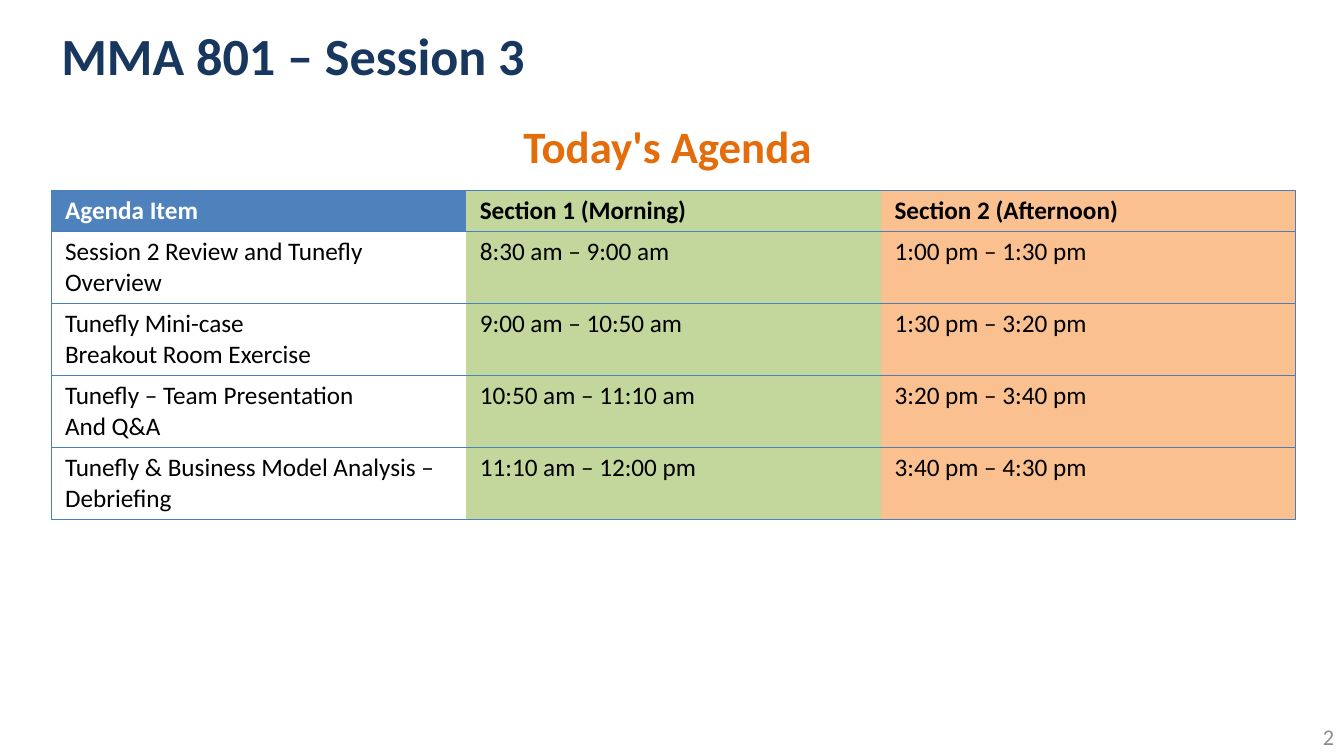
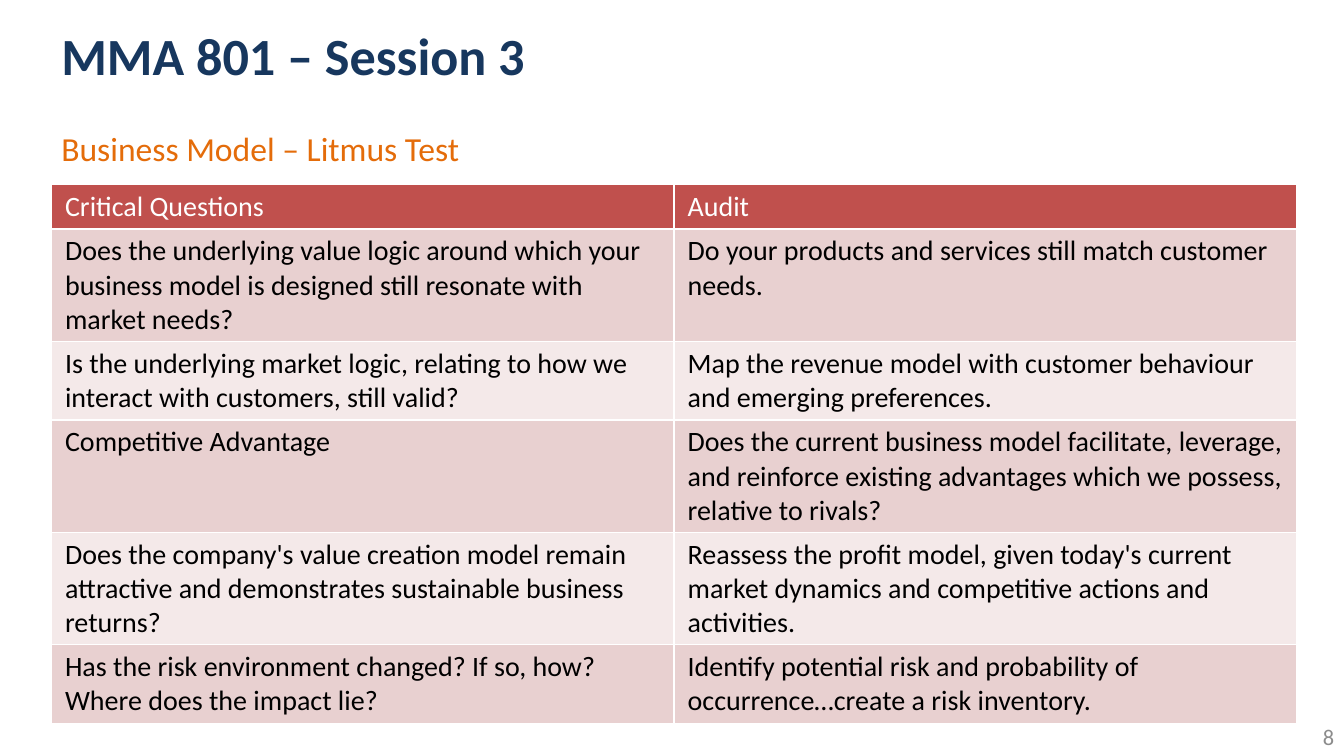
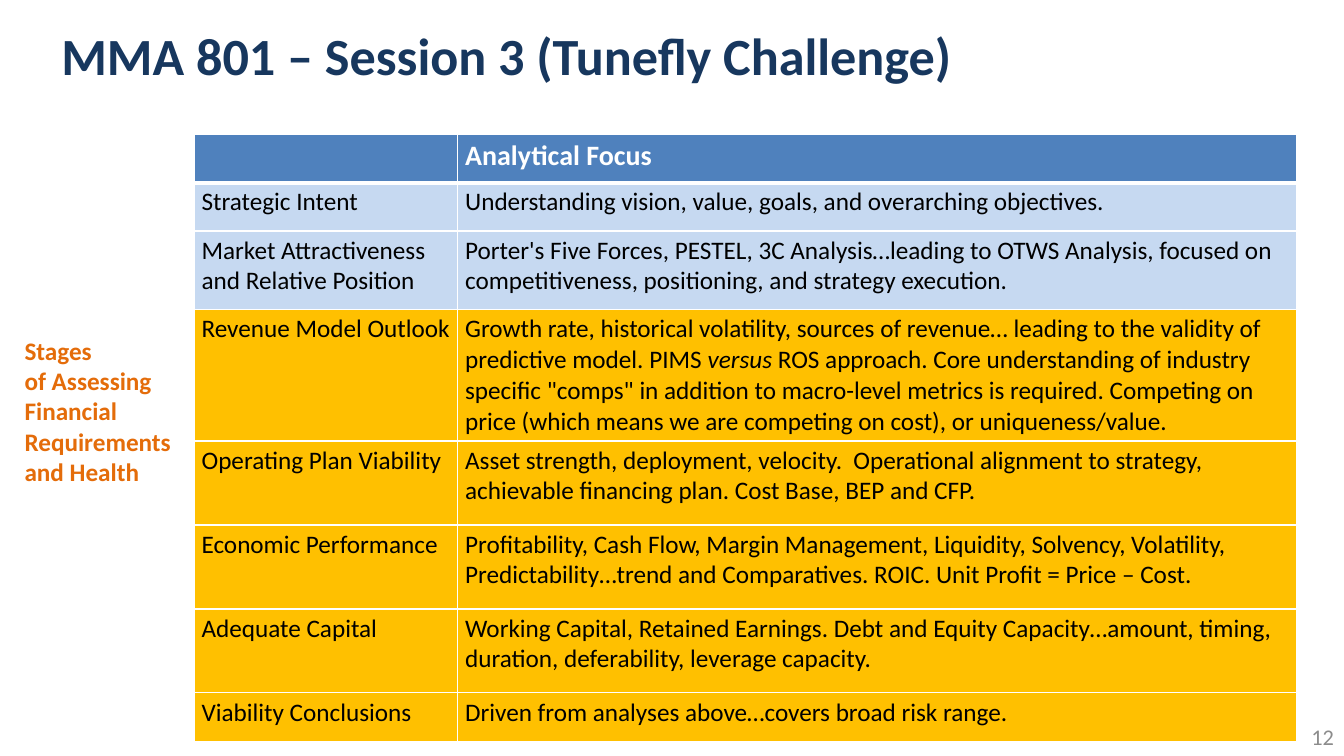
from dataclasses import dataclass
from typing import Callable, NamedTuple, Optional

import pptx
import pptx.dml.color
import pptx.enum.text
import pptx.oxml
import pptx.oxml.ns
import pptx.util

EMU_PER_PX = 9525
SLIDE_SIZE = (1280, 720)

RGB = pptx.dml.color.RGBColor
Align = pptx.enum.text.PP_ALIGN
Anchor = pptx.enum.text.MSO_ANCHOR


def px(length: int) -> pptx.util.Emu:
    return pptx.util.Emu(length * EMU_PER_PX)


class TextStyle(NamedTuple):
    size: float
    color: RGB
    bold: bool = False


class Theme:
    font = "Calibri"
    white = RGB.from_string("FFFFFF")
    black = RGB.from_string("000000")
    navy = RGB.from_string("17375E")
    orange = RGB.from_string("E46C0A")
    gray = RGB.from_string("8C8C8C")
    blue = RGB.from_string("4F81BD")
    rule_blue = RGB.from_string("4B7EBC")
    pale_blue = RGB.from_string("C6D9F1")
    green = RGB.from_string("C3D69B")
    peach = RGB.from_string("FAC090")
    red = RGB.from_string("C0504D")
    rose = RGB.from_string("E8D0D0")
    pale_rose = RGB.from_string("F4E9E9")
    amber = RGB.from_string("FFC000")

    title = TextStyle(37.3, navy, True)
    agenda_heading = TextStyle(32, orange, True)
    subtitle = TextStyle(24, orange)
    side_label = TextStyle(18, orange, True)
    page_number = TextStyle(16, gray)
    body = TextStyle(18, black)
    body_bold = TextStyle(18, black, True)
    body_head = TextStyle(18, white, True)
    large_body = TextStyle(20, black)
    large_head = TextStyle(20, white)
    large_head_bold = TextStyle(20, white, True)


class Box(NamedTuple):
    left: int
    top: int
    width: int
    height: int


class Rule(NamedTuple):
    color: RGB
    points: float


class CellLook(NamedTuple):
    fill: RGB
    text: TextStyle


class Insets(NamedTuple):
    side: int
    end: int


@dataclass(frozen=True)
class Label:
    text: str
    box: Box
    style: TextStyle
    align: Align = Align.LEFT
    anchor: Anchor = Anchor.TOP


@dataclass(frozen=True)
class Grid:
    left: int
    top: int
    columns: list[int]
    heights: list[int]
    rows: list[list[str]]
    insets: Insets
    look: Callable[[int, int], CellLook]
    rule: Rule
    header_rule: Rule
    inner_verticals: bool = True


@dataclass(frozen=True)
class Page:
    title: str
    number: int
    grid: Grid
    heading: Label


def write(frame, text: str, style: TextStyle, align: Align = Align.LEFT) -> None:
    """Start a paragraph at each line end; text between asterisks is italic."""
    for index, line in enumerate(text.split("\n")):
        paragraph = frame.add_paragraph() if index else frame.paragraphs[0]
        paragraph.alignment = align
        for part_index, part in enumerate(line.split("*")):
            if not part:
                continue
            run = paragraph.add_run()
            run.text = part
            run.font.name = Theme.font
            run.font.size = pptx.util.Pt(style.size)
            run.font.bold = style.bold
            run.font.italic = part_index % 2 == 1
            run.font.color.rgb = style.color


def add_label(slide, label: Label) -> None:
    frame = slide.shapes.add_textbox(*map(px, label.box)).text_frame
    frame.word_wrap = True
    frame.vertical_anchor = label.anchor
    write(frame, label.text, label.style, label.align)


def set_border(cell, side: str, rule: Optional[Rule]) -> None:
    """Draw one side (L, R, T or B) of a cell; no rule hides that side."""
    properties = cell._tc.get_or_add_tcPr()
    line = pptx.oxml.parse_xml(
        f'<a:ln{side} {pptx.oxml.ns.nsdecls("a")}>'
        + (f'<a:solidFill><a:srgbClr val="{rule.color}"/></a:solidFill>'
           if rule else "<a:noFill/>")
        + f"</a:ln{side}>"
    )
    if rule:
        line.set("w", str(int(pptx.util.Pt(rule.points))))
    properties.append(line)


def add_grid(slide, grid: Grid) -> None:
    row_count, column_count = len(grid.rows), len(grid.columns)
    box = Box(grid.left, grid.top, sum(grid.columns), sum(grid.heights))
    table = slide.shapes.add_table(row_count, column_count, *map(px, box)).table
    table.first_row = table.horz_banding = False
    for column, width in zip(table.columns, grid.columns):
        column.width = px(width)
    for row, height in zip(table.rows, grid.heights):
        row.height = px(height)

    inner = grid.rule if grid.inner_verticals else None
    for r, texts in enumerate(grid.rows):
        for c, text in enumerate(texts):
            cell = table.cell(r, c)
            look = grid.look(r, c)
            # Border elements have to precede the fill in the cell properties.
            set_border(cell, "L", inner if c else grid.rule)
            set_border(cell, "R", inner if c < column_count - 1 else grid.rule)
            set_border(cell, "T", grid.header_rule if r == 1 else grid.rule)
            set_border(cell, "B", grid.header_rule if r == 0 else grid.rule)
            cell.fill.solid()
            cell.fill.fore_color.rgb = look.fill
            cell.margin_left = cell.margin_right = px(grid.insets.side)
            cell.margin_top = cell.margin_bottom = px(grid.insets.end)
            write(cell.text_frame, text, look.text)


def agenda_look(row: int, column: int) -> CellLook:
    if column == 0:
        return (CellLook(Theme.white, Theme.body) if row
                else CellLook(Theme.blue, Theme.body_head))
    fill = (Theme.green, Theme.peach)[column - 1]
    return CellLook(fill, Theme.body if row else Theme.body_bold)


def litmus_look(row: int, column: int) -> CellLook:
    if row == 0:
        return CellLook(Theme.red, Theme.large_head)
    return CellLook(Theme.rose if row % 2 else Theme.pale_rose, Theme.large_body)


def stages_look(row: int, column: int) -> CellLook:
    if row == 0:
        return CellLook(Theme.blue, Theme.large_head_bold)
    return CellLook(Theme.pale_blue if row < 3 else Theme.amber, Theme.body)


WIDE_INSETS = Insets(13, 5)
NARROW_INSETS = Insets(7, 4)
BLUE_RULE = Rule(Theme.rule_blue, 0.75)
WHITE_RULE = Rule(Theme.white, 1)
THICK_WHITE_RULE = Rule(Theme.white, 3)

AGENDA = Grid(
    left=49, top=181, columns=[395] * 3, heights=[39] + [68] * 4,
    rows=[
        ["Agenda Item", "Section 1 (Morning)", "Section 2 (Afternoon)"],
        ["Session 2 Review and Tunefly Overview",
         "8:30 am – 9:00 am", "1:00 pm – 1:30 pm"],
        ["Tunefly Mini-case\nBreakout Room Exercise",
         "9:00 am – 10:50 am", "1:30 pm – 3:20 pm"],
        ["Tunefly – Team Presentation\nAnd Q&A",
         "10:50 am – 11:10 am", "3:20 pm – 3:40 pm"],
        ["Tunefly & Business Model Analysis – Debriefing",
         "11:10 am – 12:00 pm", "3:40 pm – 4:30 pm"],
    ],
    insets=WIDE_INSETS, look=agenda_look, rule=BLUE_RULE,
    header_rule=BLUE_RULE, inner_verticals=False,
)

LITMUS_TEST = Grid(
    left=49, top=176, columns=[593] * 2, heights=[42, 107, 75, 107, 107, 75],
    rows=[
        ["Critical Questions", "Audit"],
        ["Does the underlying value logic around which your business model is "
         "designed still resonate with market needs?",
         "Do your products and services still match customer needs."],
        ["Is the underlying market logic, relating to how we interact with "
         "customers, still valid?",
         "Map the revenue model with customer behaviour and emerging preferences."],
        ["Competitive Advantage",
         "Does the current business model facilitate, leverage, and reinforce "
         "existing advantages which we possess, relative to rivals?"],
        ["Does the company's value creation model remain attractive and "
         "demonstrates sustainable business returns?",
         "Reassess the profit model, given today's current market dynamics and "
         "competitive actions and activities."],
        ["Has the risk environment changed? If so, how? Where does the impact lie?",
         "Identify potential risk and probability of occurrence…create a risk "
         "inventory."],
    ],
    insets=WIDE_INSETS, look=litmus_look, rule=WHITE_RULE, header_rule=WHITE_RULE,
)

STAGES = Grid(
    left=185, top=128, columns=[251, 799],
    heights=[46, 46, 75, 125, 80, 80, 80, 46],
    rows=[
        ["", "Analytical Focus"],
        ["Strategic Intent",
         "Understanding vision, value, goals, and overarching objectives."],
        ["Market Attractiveness and Relative Position",
         "Porter's Five Forces, PESTEL, 3C Analysis…leading to OTWS Analysis, "
         "focused on competitiveness, positioning, and strategy execution."],
        ["Revenue Model Outlook",
         "Growth rate, historical volatility, sources of revenue… leading to the "
         "validity of predictive model. PIMS *versus* ROS approach. Core "
         "understanding of industry specific \"comps\" in addition to macro-level "
         "metrics is required. Competing on price (which means we are competing "
         "on cost), or uniqueness/value."],
        ["Operating Plan Viability",
         "Asset strength, deployment, velocity.  Operational alignment to "
         "strategy, achievable financing plan. Cost Base, BEP and CFP."],
        ["Economic Performance",
         "Profitability, Cash Flow, Margin Management, Liquidity, Solvency, "
         "Volatility, Predictability…trend and Comparatives. ROIC. Unit Profit = "
         "Price – Cost."],
        ["Adequate Capital",
         "Working Capital, Retained Earnings. Debt and Equity Capacity…amount, "
         "timing, duration, deferability, leverage capacity."],
        ["Viability Conclusions",
         "Driven from analyses above…covers broad risk range."],
    ],
    insets=NARROW_INSETS, look=stages_look, rule=WHITE_RULE,
    header_rule=THICK_WHITE_RULE,
)

PAGES = [
    Page("MMA 801 – Session 3", 2, AGENDA,
         Label("Today's Agenda", Box(489, 108, 431, 61), Theme.agenda_heading)),
    Page("MMA 801 – Session 3", 8, LITMUS_TEST,
         Label("Business Model – Litmus Test", Box(49, 117, 799, 48),
               Theme.subtitle)),
    Page("MMA 801 – Session 3 (Tunefly Challenge)", 12, STAGES,
         Label("Stages\nof Assessing Financial Requirements and Health",
               Box(14, 283, 161, 185), Theme.side_label, anchor=Anchor.BOTTOM)),
]


def add_page(deck, page: Page) -> None:
    slide = deck.slides.add_slide(deck.slide_layouts[6])
    add_grid(slide, page.grid)
    add_label(slide, Label(str(page.number), Box(1124, 682, 156, 38),
                           Theme.page_number, Align.RIGHT, Anchor.MIDDLE))
    add_label(slide, Label(page.title, Box(49, 7, 1050, 90), Theme.title,
                           anchor=Anchor.MIDDLE))
    add_label(slide, page.heading)


def main() -> None:
    deck = pptx.Presentation()
    deck.slide_width, deck.slide_height = map(px, SLIDE_SIZE)
    for page in PAGES:
        add_page(deck, page)
    deck.save("out.pptx")


if __name__ == "__main__":
    main()
